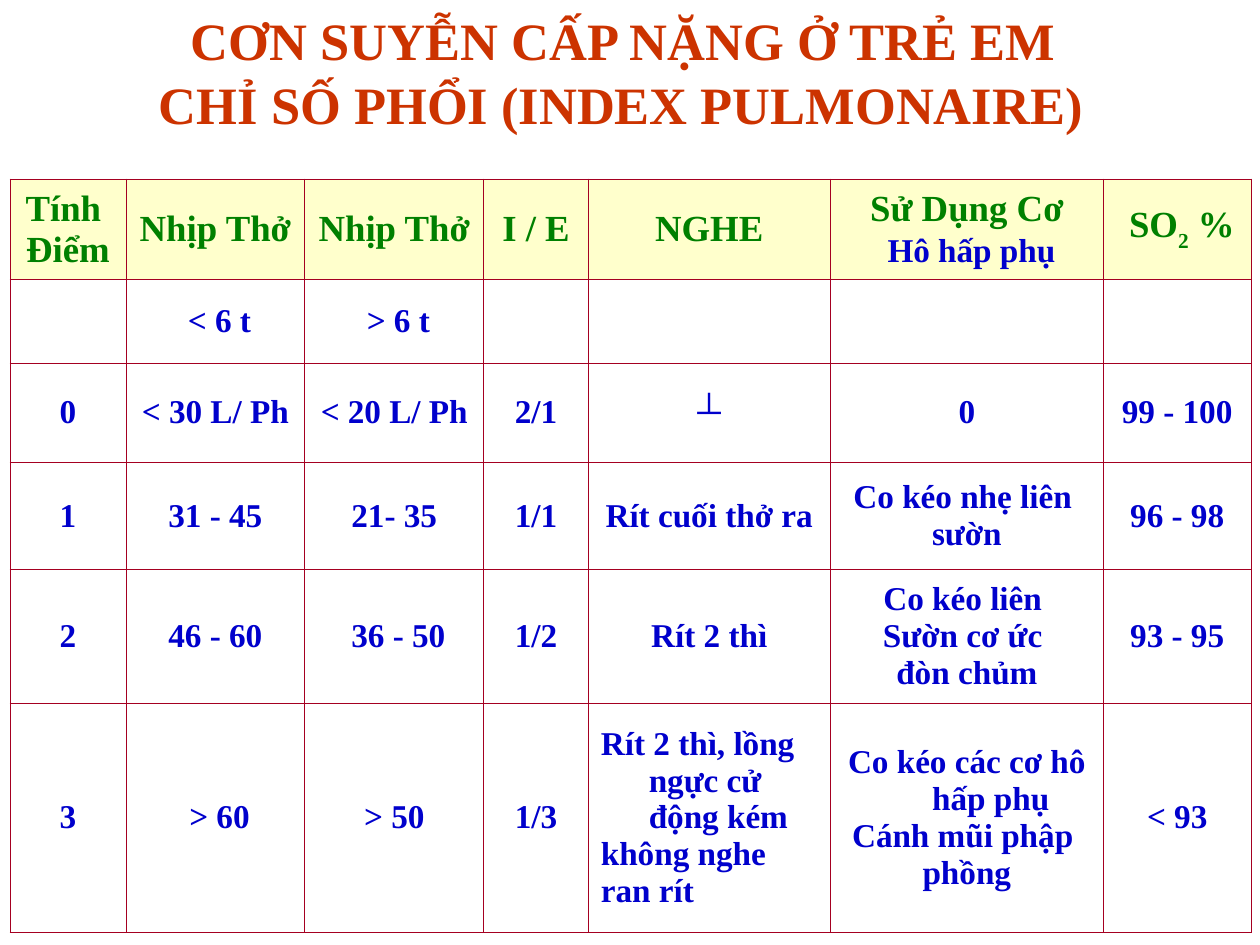
import pptx
import pptx.util
import pptx.dml.color
import pptx.enum.text
import pptx.oxml.ns
from lxml import etree

TITLE = [("CƠN SUYỄN CẤP NẶNG Ở TRẺ EM \vCHỈ SỐ PHỔI (INDEX PULMONAIRE)", "title"), (" ", "title_end")]
HEADER = [
    ["Tính ", "Điểm"],
    ["Nhịp Thở"],
    ["Nhịp Thở "],
    ["I / E"],
    ["NGHE"],
    ["Sử Dụng Cơ", [(" ", "header"), ("Hô hấp phụ", "body")]],
    [[(" SO", "header"), ("2", "subscript"), (" %", "header")]],
]
BODY = [
    ["", " < 6 t", " > 6 t", "", "", "", ""],
    ["0", "< 30 L/ Ph", "< 20 L/ Ph", "2/1", "┴", "0", "99 - 100"],
    ["1", "31 - 45", "21- 35", "1/1", "Rít cuối thở ra", ["Co kéo nhẹ liên ", "sườn"], "96 - 98"],
    ["2", "46 - 60", " 36 - 50", "1/2", "Rít 2 thì",
     ["Co kéo liên ", "Sườn cơ ức ", "đòn chủm"], "93 - 95"],
    ["3", " > 60", "> 50", "1/3",
     ["Rít 2 thì, lồng ngực cử động kém", "không nghe", "ran rít"],
     ["Co kéo các cơ hô hấp phụ", "Cánh mũi phập ", "phồng"], "< 93"],
]
LEFT_ALIGNED = {(5, 4)}
COLUMNS = [0.92, 1.42, 1.42, 0.83, 1.92, 2.17, 1.17]
ROWS = [0.8, 0.66, 0.79, 0.85, 1.06, 1.82]
TABLE_LEFT, TABLE_TOP = 0.08, 1.42
HANGING = 0.38

THEME = {
    "font": "Times New Roman",
    "header_fill": "FFFFCC",
    "border": "A50021",
    "border_width": 0.45,
    "text": {
        "title": {"size": 30, "color": "CC3300", "bold": True},
        "title_end": {"size": 40, "color": "000000", "bold": False},
        "header": {"size": 21, "color": "008000", "bold": True},
        "subscript": {"size": 21, "color": "008000", "bold": True, "baseline": -30000},
        "body": {"size": 19, "color": "0000CC", "bold": True},
    },
}
CENTER = pptx.enum.text.PP_ALIGN.CENTER
LEFT = pptx.enum.text.PP_ALIGN.LEFT
MIDDLE = pptx.enum.text.MSO_ANCHOR.MIDDLE
inches = pptx.util.Inches
color = pptx.dml.color.RGBColor.from_string


def set_attributes(target, values):
    for name, value in values.items():
        setattr(target, name, value)


def add_runs(paragraph, runs):
    for text, style_name in runs:
        style = THEME["text"][style_name]
        for index, part in enumerate(text.split("\v")):
            if index:
                paragraph.add_line_break()
            run = paragraph.add_run()
            run.text = part
            set_attributes(run.font, {"name": THEME["font"], "size": pptx.util.Pt(style["size"]),
                                      "bold": style["bold"]})
            run.font.color.rgb = color(style["color"])
            if "baseline" in style:
                run.font._element.set("baseline", str(style["baseline"]))


def add_borders(cell):
    properties = cell._tc.get_or_add_tcPr()
    for side in ("a:lnL", "a:lnR", "a:lnT", "a:lnB"):
        line = etree.SubElement(properties, pptx.oxml.ns.qn(side),
                                w=str(int(pptx.util.Pt(THEME["border_width"]))))
        fill = etree.SubElement(line, pptx.oxml.ns.qn("a:solidFill"))
        etree.SubElement(fill, pptx.oxml.ns.qn("a:srgbClr"), val=THEME["border"])


def fill_cell(cell, content, style_name, alignment):
    cell.vertical_anchor = MIDDLE
    add_borders(cell)
    if style_name == "header":
        cell.fill.solid()
        cell.fill.fore_color.rgb = color(THEME["header_fill"])
    else:
        cell.fill.background()
    if not content:
        return
    lines = [content] if isinstance(content, str) else content
    for index, line in enumerate(lines):
        frame = cell.text_frame
        paragraph = frame.add_paragraph() if index else frame.paragraphs[0]
        paragraph.alignment = alignment
        properties = paragraph._p.get_or_add_pPr()
        properties.set("marL", str(inches(HANGING)))
        properties.set("indent", str(-inches(HANGING)))
        add_runs(paragraph, [(line, style_name)] if isinstance(line, str) else line)


def add_title(slide, presentation):
    title = slide.shapes.title
    set_attributes(title, {"left": 0, "top": 0, "width": presentation.slide_width,
                           "height": inches(1.25)})
    set_attributes(title.text_frame, {"word_wrap": True, "vertical_anchor": MIDDLE,
                                      "auto_size": pptx.enum.text.MSO_AUTO_SIZE.NONE})
    paragraph = title.text_frame.paragraphs[0]
    set_attributes(paragraph, {"alignment": CENTER, "line_spacing": 0.8})
    add_runs(paragraph, TITLE)


def add_score_table(slide):
    table = slide.shapes.add_table(
        len(ROWS), len(COLUMNS), inches(TABLE_LEFT), inches(TABLE_TOP),
        inches(sum(COLUMNS)), inches(sum(ROWS))).table
    set_attributes(table, {"first_row": False, "horz_banding": False})
    for column, width in zip(table.columns, COLUMNS):
        column.width = inches(width)
    for row, height in zip(table.rows, ROWS):
        row.height = inches(height)
    for row_index, contents in enumerate([HEADER] + BODY):
        for column_index, content in enumerate(contents):
            position = (row_index, column_index)
            fill_cell(table.cell(*position), content, "body" if row_index else "header",
                      LEFT if position in LEFT_ALIGNED else CENTER)


def main():
    presentation = pptx.Presentation()
    set_attributes(presentation, {"slide_width": inches(10), "slide_height": inches(7.5)})
    slide = presentation.slides.add_slide(presentation.slide_layouts[5])
    add_title(slide, presentation)
    add_score_table(slide)
    presentation.save("out.pptx")


if __name__ == "__main__":
    main()
